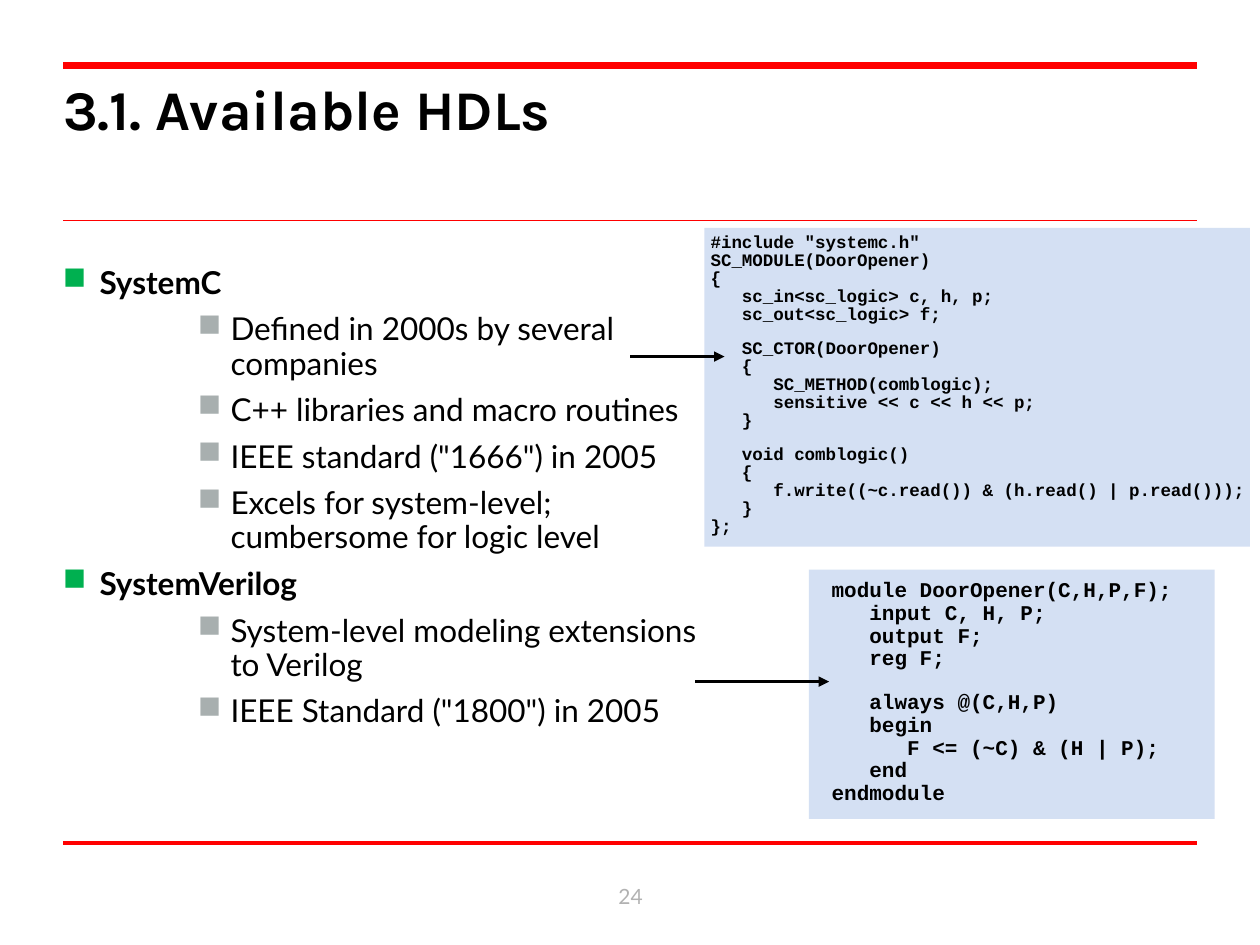
"""Builds the slide on SystemC and SystemVerilog as hardware description languages."""
from lxml import etree
from pptx import Presentation
from pptx.dml.color import RGBColor
from pptx.enum.shapes import MSO_CONNECTOR as CONN, MSO_SHAPE as SHAPE
from pptx.enum.text import MSO_ANCHOR as ANCHOR, MSO_AUTO_SIZE as FIT, PP_ALIGN as ALIGN
from pptx.oxml.ns import qn
from pptx.util import Inches, Pt

BLACK = RGBColor(0x00, 0x00, 0x00)
RED = RGBColor(0xFF, 0x00, 0x00)
GREEN = RGBColor(0x00, 0xB0, 0x50)
GRAY = RGBColor(0xA8, 0xAF, 0xAF)
PAGE_GRAY = RGBColor(0xB2, 0xB2, 0xB2)
PALE_BLUE = RGBColor(0xD4, 0xE0, 0xF3)

COLS, ROWS = 20, 15

TOPICS = {
    "SystemC": [
        "Defined in 2000s by several companies",
        "C++ libraries and macro routines",
        'IEEE standard ("1666") in 2005',
        "Excels for system-level; cumbersome for logic level",
    ],
    "SystemVerilog": [
        "System-level modeling extensions to Verilog",
        'IEEE Standard ("1800") in 2005',
    ],
}

SYSTEMC_CODE = """#include "systemc.h"
SC_MODULE(DoorOpener)
{
   sc_in<sc_logic> c, h, p;
   sc_out<sc_logic> f;

   SC_CTOR(DoorOpener)
   {
      SC_METHOD(comblogic);
      sensitive << c << h << p;
   }

   void comblogic()
   {
      f.write((~c.read()) & (h.read() | p.read()));
   }
};"""

VERILOG_CODE = """module DoorOpener(C,H,P,F);
   input C, H, P;
   output F;
   reg F;

   always @(C,H,P)
   begin
      F <= (~C) & (H | P);
   end
endmodule"""


def write(p, text, font="Lato", size=18, color=BLACK, bold=False,
          align=ALIGN.LEFT, spacing=1.0, before=0, after=0):
    """Puts formatted text into a paragraph."""
    p.alignment, p.line_spacing = align, spacing
    p.space_before, p.space_after = Pt(before), Pt(after)
    r = p.add_run()
    r.text = text
    r.font.name, r.font.size, r.font.bold = font, Pt(size), bold
    r.font.color.rgb = color


def add_bullet(p, color, margin, hanging):
    """Gives a paragraph a square bullet and a hanging indent."""
    pPr = p._p.get_or_add_pPr()
    pPr.set("marL", str(Inches(margin)))
    pPr.set("indent", str(-Inches(hanging)))
    clr = etree.SubElement(pPr, qn("a:buClr"))
    etree.SubElement(clr, qn("a:srgbClr"), val=str(color))
    etree.SubElement(pPr, qn("a:buChar"), char="■")


class Deck:
    """Holds the grid, the presentation and the current slide."""

    def __init__(self):
        self.prs = Presentation()
        self.prs.slide_width, self.prs.slide_height = Inches(10), Inches(7.5)
        self.col = self.prs.slide_width / COLS
        self.row = self.prs.slide_height / ROWS
        self.s = self.prs.slides.add_slide(self.prs.slide_layouts[5])

    def box(self, x, y, w, h):
        return [round(v) for v in (x * self.col, y * self.row, w * self.col, h * self.row)]

    def frame(self, sp, wrap=True, anchor=ANCHOR.TOP):
        tf = sp.text_frame
        tf.word_wrap, tf.auto_size, tf.vertical_anchor = wrap, FIT.NONE, anchor
        tf.margin_left = tf.margin_right = tf.margin_top = tf.margin_bottom = 0
        return tf

    def title(self, text, *at):
        sp = self.s.shapes.title
        sp.left, sp.top, sp.width, sp.height = self.box(*at)
        write(self.frame(sp).paragraphs[0], text, font="Karla", size=32, bold=True)

    def text(self, text, *at, **style):
        tf = self.frame(self.s.shapes.add_textbox(*self.box(*at)), anchor=ANCHOR.MIDDLE)
        write(tf.paragraphs[0], text, **style)

    def outline(self, topics, *at):
        tf = self.frame(self.s.shapes.add_textbox(*self.box(*at)))
        p = tf.paragraphs[0]
        for i, (topic, points) in enumerate(topics.items()):
            if i:
                p = tf.add_paragraph()
            add_bullet(p, GREEN, 0.29, 0.29)
            write(p, topic, bold=True, spacing=0.9 if i else 1.0, after=7.2)
            for point in points:
                p = tf.add_paragraph()
                p.level = 1
                add_bullet(p, GRAY, 1.33, 0.26)
                write(p, point, spacing=0.9, after=7.2)

    def panel(self, *at):
        sp = self.s.shapes.add_shape(SHAPE.RECTANGLE, *self.box(*at))
        sp.shadow.inherit = False
        sp.fill.solid()
        sp.fill.fore_color.rgb = PALE_BLUE
        sp.line.fill.background()

    def code(self, source, *at, size, spacing):
        tf = self.frame(self.s.shapes.add_textbox(*self.box(*at)), wrap=False)
        p, gap = tf.paragraphs[0], 0
        for i, line in enumerate(source.split("\n")):
            if not line:
                gap = round(1.13 * size * spacing, 1)
                continue
            if i:
                p = tf.add_paragraph()
            write(p, line, font="Courier New", size=size, bold=True, spacing=spacing, before=gap)
            gap = 0

    def line(self, x1, x2, y, color, width, arrow=False):
        left, top, right, bottom = self.box(x1, y, x2, y)
        c = self.s.shapes.add_connector(CONN.STRAIGHT, left, top, right, bottom)
        c.line.color.rgb, c.line.width = color, Pt(width)
        if arrow:
            etree.SubElement(c.line._get_or_add_ln(), qn("a:tailEnd"), type="triangle")
        etree.SubElement(c._element.spPr, qn("a:effectLst"))


def main():
    deck = Deck()
    for y, width in ((13.38, 2.5), (3.5, 1), (1.04, 4)):
        deck.line(1, 19, y, RED, width)
    deck.title("3.1. Available HDLs", 1, 1.18, 17.98, 2)
    deck.outline(TOPICS, 1, 4.18, 10.12, 8.5)
    deck.text("24", 7.68, 13.82, 4.66, 0.8, size=12, color=PAGE_GRAY, align=ALIGN.CENTER)

    deck.panel(12.84, 9.04, 6.44, 3.96)
    deck.line(11.04, 13.16, 10.82, BLACK, 1.5, arrow=True)
    deck.code(VERILOG_CODE, 13.2, 9.2, 5.44, 3.62, size=12, spacing=0.9)

    deck.panel(11.18, 3.62, 8.66, 5.06)
    deck.code(SYSTEMC_CODE, 11.28, 3.72, 8.54, 4.84, size=10, spacing=0.85)
    deck.line(10, 11.5, 5.66, BLACK, 1.5, arrow=True)
    deck.prs.save("out.pptx")


if __name__ == "__main__":
    main()
